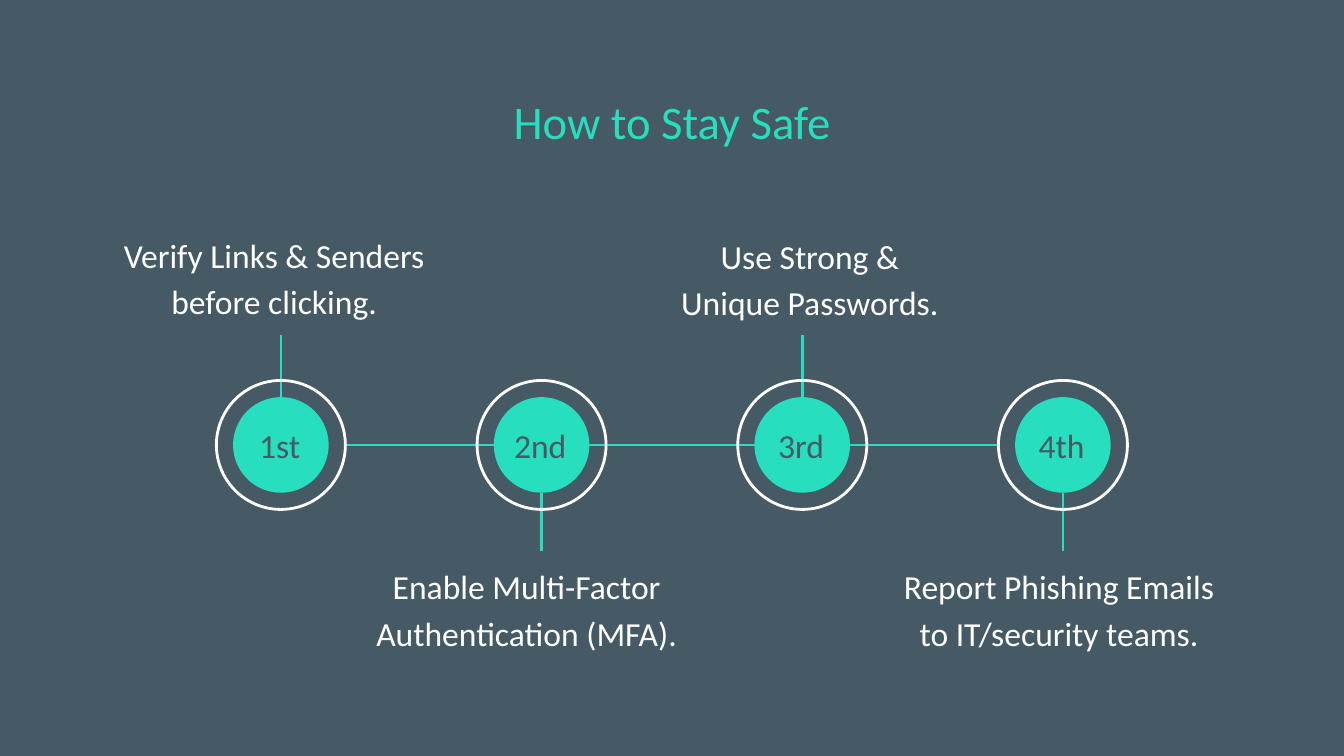
from lxml import etree
from pptx import Presentation
from pptx import util as u
from pptx.dml.color import RGBColor
from pptx.enum import shapes, text
from pptx.oxml.ns import qn

Pt = u.Pt
SLATE, TEAL, WHITE = "455A64", "27DEBF", "FFFFFF"


def rgb(value):
    return RGBColor.from_string(value)


def add_text(s, content, left, top, width, height, size=18, color=WHITE,
             anchor=text.MSO_ANCHOR.TOP, spacing=None, after=0):
    sp = s.shapes.add_textbox(Pt(left), Pt(top), Pt(width), Pt(height))
    tf = sp.text_frame
    tf.word_wrap = True
    tf.vertical_anchor = anchor
    tf.margin_left = tf.margin_right = tf.margin_top = tf.margin_bottom = Pt(7.2)
    p = tf.paragraphs[0]
    p.alignment = text.PP_ALIGN.CENTER
    p.line_spacing = spacing
    p.space_after = Pt(after)
    r = p.add_run()
    r.text = content
    r.font.name = "Calibri"
    r.font.size = Pt(size)
    r.font.color.rgb = rgb(color)


prs = Presentation()
prs.slide_width, prs.slide_height = Pt(720), Pt(405)
s = prs.slides.add_slide(prs.slide_layouts[6])
s.background.fill.solid()
s.background.fill.fore_color.rgb = rgb(SLATE)

first_x, pitch, mid_y = 150.5, 139.65, 238.4
ring, dot = 69.1, 51.2
centers = [first_x + i * pitch for i in range(4)]

lines = [(centers[0] + ring / 2, mid_y, centers[3] - ring / 2, mid_y)]
for i, x in enumerate(centers):
    side = 1 if i % 2 else -1
    lines.append((x, mid_y + side * dot / 2, x, mid_y + side * 57.8 - 1.2))
for x1, y1, x2, y2 in lines:
    c = s.shapes.add_connector(shapes.MSO_CONNECTOR.STRAIGHT, Pt(x1), Pt(y1), Pt(x2), Pt(y2))
    c.line.color.rgb = rgb(TEAL)
    c.line.width = Pt(1.5)
    etree.SubElement(c._element.spPr, qn("a:effectLst"))

for x in centers:
    for size, fill, line in [(ring, None, WHITE), (dot, TEAL, None)]:
        sp = s.shapes.add_shape(shapes.MSO_SHAPE.OVAL, Pt(x - size / 2), Pt(mid_y - size / 2),
                                Pt(size), Pt(size))
        sp.shadow.inherit = False
        if fill:
            sp.fill.solid()
            sp.fill.fore_color.rgb = rgb(fill)
            sp.line.fill.background()
        else:
            sp.fill.background()
            sp.line.color.rgb = rgb(line)
            sp.line.width = Pt(1.5)

add_text(s, "How to Stay Safe", 56.2, 42.5, 607.6, 37.4, size=25, color=TEAL)

steps = [
    ("1st", "Verify Links & Senders before clicking.", 56.2, 115.2, 181.4, 54),
    ("2nd", "Enable Multi-Factor Authentication (MFA).", 185, 293, 194.4, 44),
    ("3rd", "Use Strong & Unique Passwords.", 355, 116, 157.7, 44),
    ("4th", "Report Phishing Emails to IT/security teams.", 470.9, 293, 193, 44),
]
for x, (label, advice, left, top, width, height) in zip(centers, steps):
    add_text(s, advice, left, top, width, height, spacing=1.15, after=12)
    add_text(s, label, x - 30.2, 210.2, 59, 56.9, color=SLATE, anchor=text.MSO_ANCHOR.MIDDLE)

prs.save("out.pptx")
